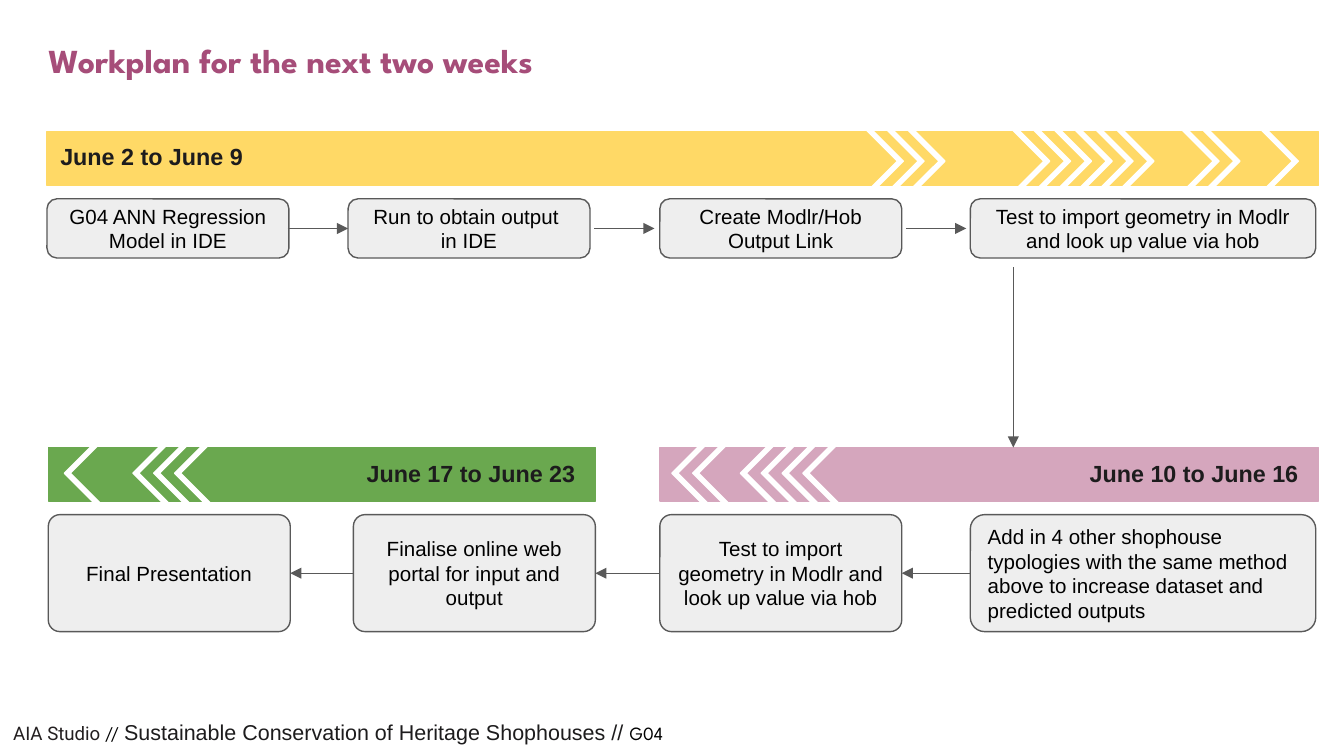
from dataclasses import dataclass

from lxml.etree import SubElement
from pptx import Presentation
from pptx.dml.color import RGBColor
from pptx.enum.shapes import MSO_CONNECTOR, MSO_SHAPE
from pptx.enum.text import MSO_ANCHOR, MSO_AUTO_SIZE, PP_ALIGN
from pptx.oxml.ns import qn
from pptx.util import Inches, Pt


@dataclass(frozen=True)
class Theme:
    title: str = "A64D79"
    ink: str = "1D1C1D"
    studio: str = "231F20"
    black: str = "000000"
    white: str = "FFFFFF"
    task: str = "EEEEEE"
    outline: str = "595959"
    yellow: str = "FFD966"
    pink: str = "D5A6BD"
    green: str = "6AA84F"
    heading_font: str = "League Spartan"
    body_font: str = "Arial"
    studio_font: str = "Roboto"
    title_size: float = 18
    phase_size: float = 12.5
    footer_size: float = 11.5
    task_size: float = 11
    small_size: float = 10
    line_width: float = 0.75


@dataclass(frozen=True)
class Label:
    text: str
    left: float
    rise: float
    width: float


@dataclass(frozen=True)
class Task:
    left: float
    width: float
    lines: tuple
    radius: float
    align: PP_ALIGN = PP_ALIGN.CENTER


THEME = Theme()
BAND_HEIGHT = 0.4
TASK_OFFSET = 0.5
CHEVRON_WIDTH, CHEVRON_HEIGHT, CHEVRON_PITCH = 0.37, 0.41, 0.155
RIGHT, LEFT = 135, 315  # rotation that points a chevron that way


def inches(*lengths):
    return [Inches(length) for length in lengths]


def add_run(paragraph, text, size, color, font=THEME.body_font, bold=False):
    run = paragraph.add_run()
    run.text = text
    run.font.name = font
    run.font.size = Pt(size)
    run.font.bold = bold
    run.font.color.rgb = RGBColor.from_string(color)


def prepare_frame(frame, anchor=MSO_ANCHOR.TOP):
    frame.word_wrap = True
    frame.auto_size = MSO_AUTO_SIZE.NONE
    frame.vertical_anchor = anchor
    frame.margin_left = frame.margin_right = Inches(0.1)
    frame.margin_top = frame.margin_bottom = Inches(0.1)
    return frame


def add_filled(slide, preset, box, fill, outline):
    shape = slide.shapes.add_shape(preset, *inches(*box))
    shape.shadow.inherit = False
    shape.fill.solid()
    shape.fill.fore_color.rgb = RGBColor.from_string(fill)
    shape.line.color.rgb = RGBColor.from_string(outline)
    shape.line.width = Pt(THEME.line_width)
    return shape


def add_arrow(slide, start, end):
    arrow = slide.shapes.add_connector(
        MSO_CONNECTOR.STRAIGHT, *inches(*start, *end))
    arrow.line.color.rgb = RGBColor.from_string(THEME.outline)
    arrow.line.width = Pt(THEME.line_width)
    properties = arrow._element.spPr
    SubElement(properties.find(qn("a:ln")), qn("a:tailEnd"), type="triangle")
    SubElement(properties, qn("a:effectLst"))


def add_title(slide, box, text):
    title = slide.shapes.title
    title.left, title.top, title.width, title.height = inches(*box)
    paragraph = prepare_frame(title.text_frame).paragraphs[0]
    paragraph.alignment = PP_ALIGN.LEFT
    paragraph.line_spacing = 0.9
    add_run(paragraph, text, THEME.title_size, THEME.title,
            THEME.heading_font, bold=True)


def add_footer(slide, box):
    footer = slide.shapes.add_textbox(*inches(*box))
    paragraph = prepare_frame(footer.text_frame).paragraphs[0]
    add_run(paragraph, "AIA Studio", THEME.small_size, THEME.studio,
            THEME.studio_font)
    add_run(paragraph, " // ", THEME.small_size, THEME.black,
            THEME.heading_font)
    add_run(paragraph, "Sustainable Conservation of Heritage Shophouses // ",
            THEME.footer_size, THEME.ink)
    add_run(paragraph, "G04", THEME.small_size, THEME.black,
            THEME.heading_font)


def add_band(slide, box, color, label, direction, chevron_groups):
    """Chevron groups are (offset from the band's left, count)."""
    left, top, _, _ = box
    add_filled(slide, MSO_SHAPE.RECTANGLE, box, color, color)
    period = slide.shapes.add_textbox(
        *inches(left + label.left, top - label.rise, label.width, 0.41))
    add_run(prepare_frame(period.text_frame).paragraphs[0], label.text,
            THEME.phase_size, THEME.ink, bold=True)
    for offset, count in chevron_groups:
        for index in range(count):
            chevron = add_filled(
                slide, MSO_SHAPE.HALF_FRAME,
                (left + offset + index * CHEVRON_PITCH, top,
                 CHEVRON_WIDTH, CHEVRON_HEIGHT),
                THEME.white, THEME.white)
            chevron.adjustments[0] = 0.083
            chevron.adjustments[1] = 0.085
            chevron.rotation = direction


def add_task(slide, box, task):
    card = add_filled(slide, MSO_SHAPE.ROUNDED_RECTANGLE, box,
                      THEME.task, THEME.outline)
    card.adjustments[0] = task.radius
    frame = prepare_frame(card.text_frame, MSO_ANCHOR.MIDDLE)
    for index, line in enumerate(task.lines):
        paragraph = frame.add_paragraph() if index else frame.paragraphs[0]
        paragraph.alignment = task.align
        add_run(paragraph, line, THEME.task_size, THEME.black)


def add_phase(slide, box, color, label, direction, chevron_groups, tasks,
              arrows):
    """Task lefts and arrow (start, end) pairs are offsets from the box's left."""
    left, top, width, height = box
    add_band(slide, (left, top, width, BAND_HEIGHT), color, label, direction,
             chevron_groups)
    task_top = top + TASK_OFFSET
    task_height = height - TASK_OFFSET
    for task in tasks:
        add_task(slide, (left + task.left, task_top, task.width, task_height),
                 task)
    middle = task_top + task_height / 2
    for start, end in arrows:
        add_arrow(slide, (left + start, middle), (left + end, middle))


def main():
    presentation = Presentation()
    presentation.slide_width = Inches(10)
    presentation.slide_height = presentation.slide_width * 9 // 16
    slide = presentation.slides.add_slide(presentation.slide_layouts[5])

    add_title(slide, (0.26, 0.23, 9.32, 0.63), "Workplan for the next two weeks")
    import_test = ("Test to import geometry in Modlr and look up value via hob",)
    add_phase(
        slide, (0.35, 0.98, 9.46, 0.94), THEME.yellow,
        Label("June 2 to June 9", 0, 0.02, 3.28),
        RIGHT, [(5.91, 3), (7, 6), (8.26, 2), (8.85, 1)],
        [Task(0, 1.8, ("G04 ANN Regression Model in IDE",), 0.167),
         Task(2.24, 1.8, ("Run to obtain output ", "in IDE"), 0.167),
         Task(4.56, 1.8, ("Create Modlr/Hob Output Link",), 0.167),
         Task(6.87, 2.57, import_test, 0.167)],
        [(start, start + 0.45) for start in (1.79, 4.07, 6.39)])
    add_phase(
        slide, (4.91, 3.33, 4.9, 1.37), THEME.pink,
        Label("June 10 to June 16", 3.1, 0.01, 1.8),
        LEFT, [(0.18, 2), (0.69, 4)],
        [Task(2.31, 2.57,
              ("Add in 4 other shophouse typologies with the same method "
               "above to increase dataset and predicted outputs",),
              0.122, PP_ALIGN.LEFT),
         Task(0, 1.8, import_test, 0.099)],
        [(2.31, 1.8), (0, -0.48)])
    add_phase(
        slide, (0.36, 3.33, 4.07, 1.37), THEME.green,
        Label("June 17 to June 23", 2.27, 0.01, 1.8),
        LEFT, [(0.21, 1), (0.72, 3)],
        [Task(2.27, 1.8, ("Finalise online web portal for input and output",),
              0.099),
         Task(0, 1.8, ("Final Presentation",), 0.099)],
        [(2.27, 1.8)])
    add_arrow(slide, (7.54, 1.99), (7.54, 3.33))
    add_footer(slide, (0, 5.25, 7.44, 0.4))

    presentation.save("out.pptx")


if __name__ == "__main__":
    main()
